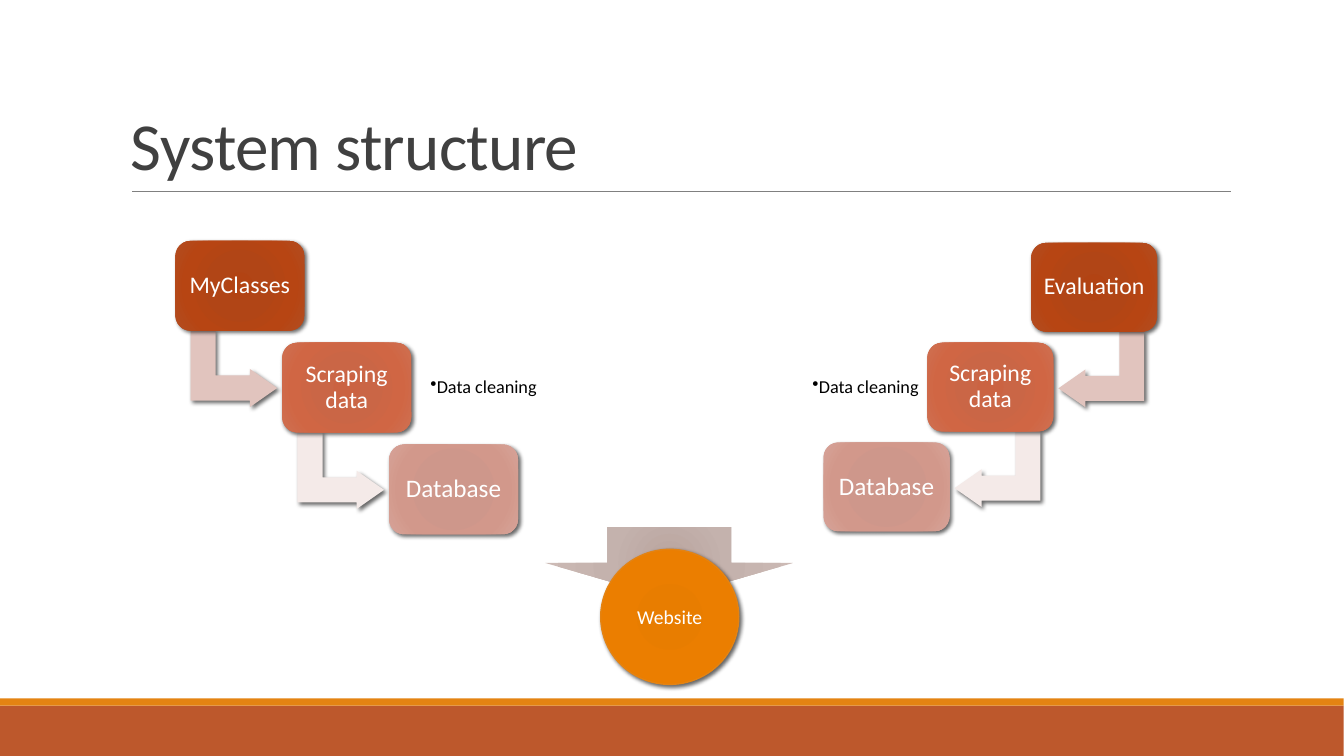
from lxml import etree
from pptx import Presentation
from pptx.dml.color import RGBColor as RGB
from pptx.enum.shapes import MSO_CONNECTOR as LINK, MSO_SHAPE as KIND
from pptx.enum.text import MSO_ANCHOR as ANCHOR, PP_ALIGN as ALIGN
from pptx.oxml import parse_xml
from pptx.oxml.ns import nsdecls, qn
from pptx.util import Pt

PX = 9144
WIDTH, HEIGHT = 1333, 750
FONT = "Calibri"
WHITE = RGB(0xFF, 0xFF, 0xFF)
BLACK = RGB(0, 0, 0)
INK = RGB(0x40, 0x40, 0x40)
GRAY = RGB(0x80, 0x80, 0x80)
RUST = RGB(0xBD, 0x58, 0x2C)
AMBER = RGB(0xE4, 0x83, 0x12)
PINK = RGB(0xE1, 0xC4, 0xBE)
PALE = RGB(0xF4, 0xEA, 0xE8)
HUB = ((0, RGB(0xE5, 0x7B, 0x00)), (34, RGB(0xE8, 0x7D, 0x00)),
       (70, RGB(0xEB, 0x7E, 0x00)), (100, RGB(0xEF, 0x84, 0x07)))
MERGE = ((0, RGB(0xB9, 0xA4, 0x9E)), (45, RGB(0xC4, 0xB2, 0xAD)),
         (100, RGB(0xCC, 0xBA, 0xB5)))
DARK = ((0, RGB(0xB2, 0x43, 0x13)), (34, RGB(0xB1, 0x45, 0x16)),
        (70, RGB(0xB7, 0x45, 0x13)), (100, RGB(0xB2, 0x4D, 0x21)))
MID = ((0, RGB(0xCB, 0x63, 0x42)), (34, RGB(0xCA, 0x66, 0x46)),
       (70, RGB(0xD0, 0x66, 0x44)), (100, RGB(0xCE, 0x70, 0x52)))
LIGHT = ((0, RGB(0xCD, 0x94, 0x88)), (34, RGB(0xCE, 0x97, 0x8B)),
         (70, RGB(0xD2, 0x98, 0x8B)), (100, RGB(0xD7, 0xA3, 0x98)))


def scale(box):
    """Turn px lengths into EMU."""
    return [n * PX for n in box]


def blend(shape, stops):
    """Fill a shape with a radial gradient."""
    shape.fill.gradient()
    marks = "".join(f'<a:gs pos="{at * 1000}"><a:srgbClr val="{tone}"/></a:gs>'
                    for at, tone in stops)
    old = shape._element.spPr.find(qn("a:gradFill"))
    old.getparent().replace(old, parse_xml(
        f'<a:gradFill {nsdecls("a")} rotWithShape="1"><a:gsLst>{marks}</a:gsLst>'
        '<a:path path="circle"><a:fillToRect l="100000" t="100000" '
        'r="100000" b="100000"/></a:path></a:gradFill>'))


def shade(shape):
    """Drop a soft shadow to the lower right."""
    shape._element.spPr.find(qn("a:effectLst")).append(parse_xml(
        f'<a:outerShdw {nsdecls("a")} blurRad="{Pt(3)}" dist="{Pt(2)}" '
        'dir="2700000" algn="br" rotWithShape="0"><a:srgbClr val="000000">'
        '<a:alpha val="60000"/></a:srgbClr></a:outerShdw>'))


def draw(shapes, kind, box, fill, adjust=(), turn=0):
    """Add an unlined shape with a flat or radial fill."""
    shape = shapes.add_shape(kind, *scale(box))
    shape.shadow.inherit = False
    shape.line.fill.background()
    shape.rotation = turn
    for i, part in enumerate(adjust):
        shape.adjustments[i] = part
    if isinstance(fill, RGB):
        shape.fill.solid()
        shape.fill.fore_color.rgb = fill
    else:
        blend(shape, fill)
    return shape


def write(shape, text, size, color, align=ALIGN.CENTER, anchor=ANCHOR.MIDDLE,
          space=0.9, inset=7):
    """Set the text of a shape and return its paragraph."""
    frame = shape.text_frame
    frame.word_wrap = True
    frame.vertical_anchor = anchor
    frame.margin_left = frame.margin_right = inset * PX
    frame.margin_top = frame.margin_bottom = min(inset, 7) * PX
    par = frame.paragraphs[0]
    par.text = text
    par.alignment = align
    par.line_spacing = space
    par.font.name = FONT
    par.font.size = Pt(size)
    par.font.color.rgb = color
    return par


def frame(shapes):
    """Draw the footer bands and the rule under the title."""
    draw(shapes, KIND.RECTANGLE, (0, 700, WIDTH, 50), RUST)
    draw(shapes, KIND.RECTANGLE, (0, 693, WIDTH, 7), AMBER)
    rule = shapes.add_connector(LINK.STRAIGHT, *scale((131, 190, 1221, 190)))
    rule.line.color.rgb = GRAY
    rule.line.width = Pt(0.5)
    etree.SubElement(rule._element.spPr, qn("a:effectLst"))


def title(shapes, box, text):
    """Write the slide title."""
    par = write(shapes.add_textbox(*scale(box)), text, 48, INK, ALIGN.LEFT,
                ANCHOR.BOTTOM, 0.85, 10)
    par.runs[0]._r.get_or_add_rPr().set("spc", "-50")


def note(shapes, box, text):
    """Write a bulleted side note."""
    par = write(shapes.add_textbox(*scale(box)), text, 13, BLACK, ALIGN.LEFT)
    props = par._p.get_or_add_pPr()
    props.set("marL", str(12 * PX))
    props.set("indent", "0")
    etree.SubElement(props, qn("a:buChar")).set("char", "•")
    props.append(props.find(qn("a:defRPr")))


def chain(slide, box, step, names, bend, side):
    """Draw three stepped boxes with bent arrows and a side note."""
    shapes = slide.shapes.add_group_shape().shapes
    left, top, wide, high = box
    kind, (dx, dy, aw, ah), adjust, turn = bend
    looks = ((DARK, PINK, 17), (MID, PALE, 17), (LIGHT, None, 18))
    for i, (name, (fill, tint, size)) in enumerate(zip(names, looks)):
        x, y = left + i * step[0], top + i * step[1]
        if tint:
            shade(draw(shapes, kind, (x + dx, y + dy, aw, ah), tint,
                       adjust, turn))
        card = draw(shapes, KIND.ROUNDED_RECTANGLE, (x, y, wide, high), fill,
                    (0.167,))
        shade(card)
        write(card, name, size, WHITE)
    note(shapes, side, "Data cleaning")


def hub(shapes, box):
    """Draw the circle where both chains meet."""
    left, top, wide, high = box
    draw(shapes, KIND.DOWN_ARROW, (left - 55, top - 22, 246, 71), MERGE)
    disc = draw(shapes, KIND.OVAL, box, HUB)
    disc.line.color.rgb = AMBER
    disc.line.width = Pt(1)
    shade(disc)
    write(disc, "Website", 14, WHITE, space=1.0)


def main():
    """Build and save the slide."""
    deck = Presentation()
    deck.slide_width, deck.slide_height = 12192000, HEIGHT * PX
    slide = deck.slides.add_slide(deck.slide_layouts[6])
    frame(slide.shapes)
    title(slide.shapes, (120, 31, 1100, 159), "System structure")
    hub(slide.shapes, (596, 545, 137, 134))
    bends = (0.328, 0.25, 0.358)
    chain(slide, (174, 239, 128, 89), (106, 101),
          ("MyClasses", "Scraping data", "Database"),
          (KIND.BENT_UP_ARROW, (20, 84, 76, 86), bends, 90),
          (408, 348, 173, 72))
    chain(slide, (1023, 241, 125, 88), (-103, 99),
          ("Evaluation", "Scraping data", "Database"),
          (KIND.BENT_ARROW, (27, 88, 85, 75), bends + (0,), 180),
          (787, 349, 177, 71))
    deck.save("out.pptx")


if __name__ == "__main__":
    main()
